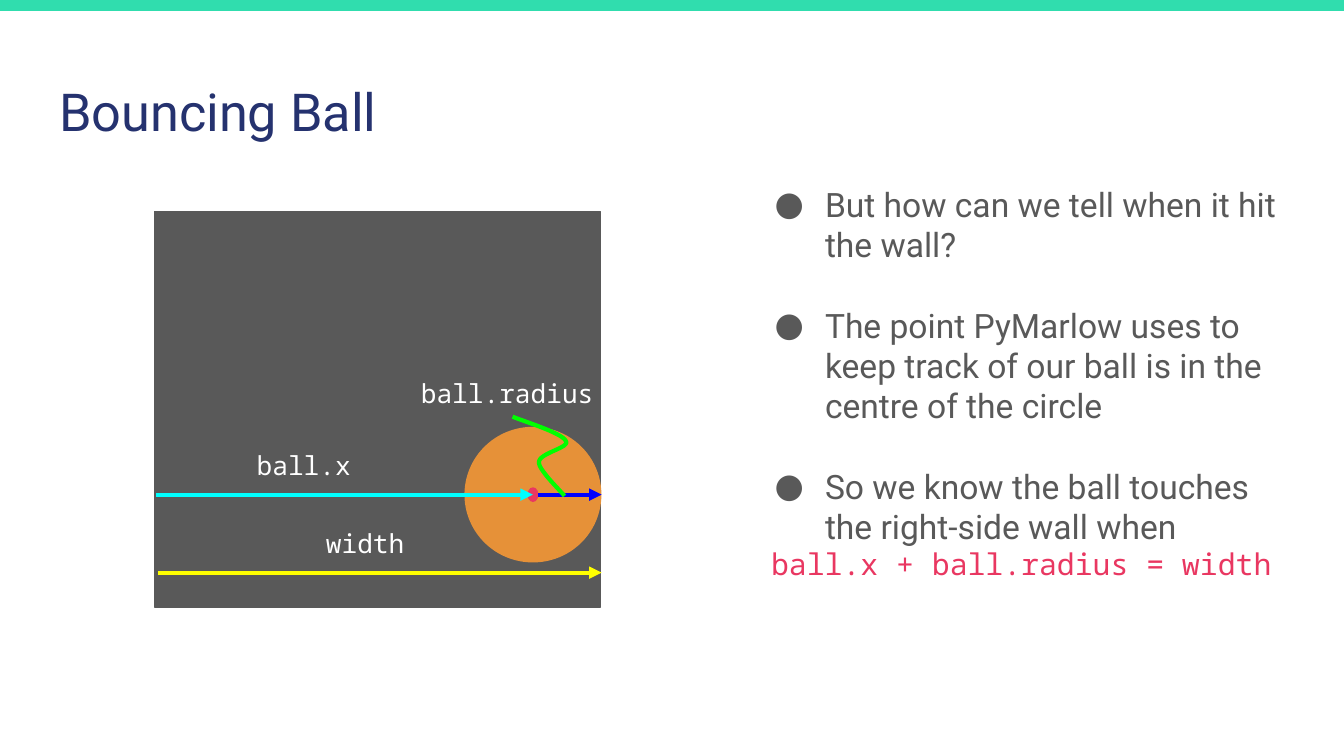
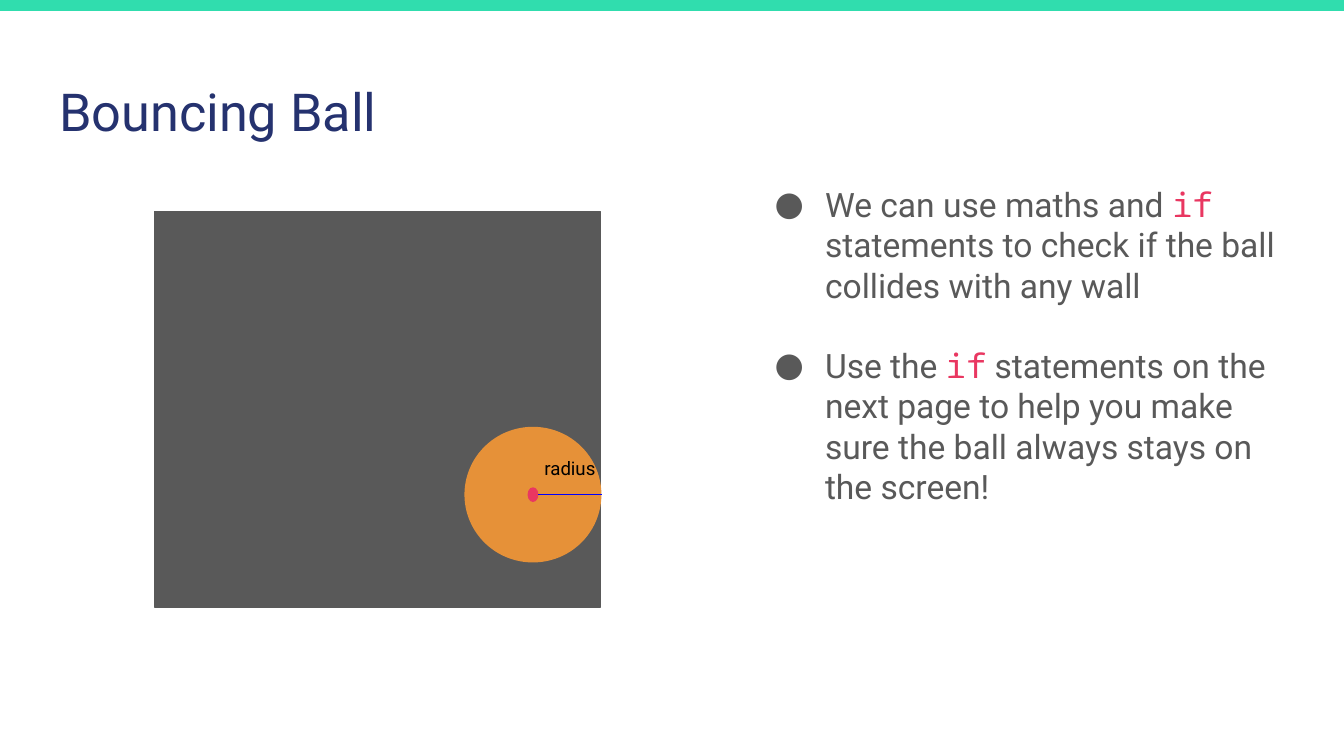
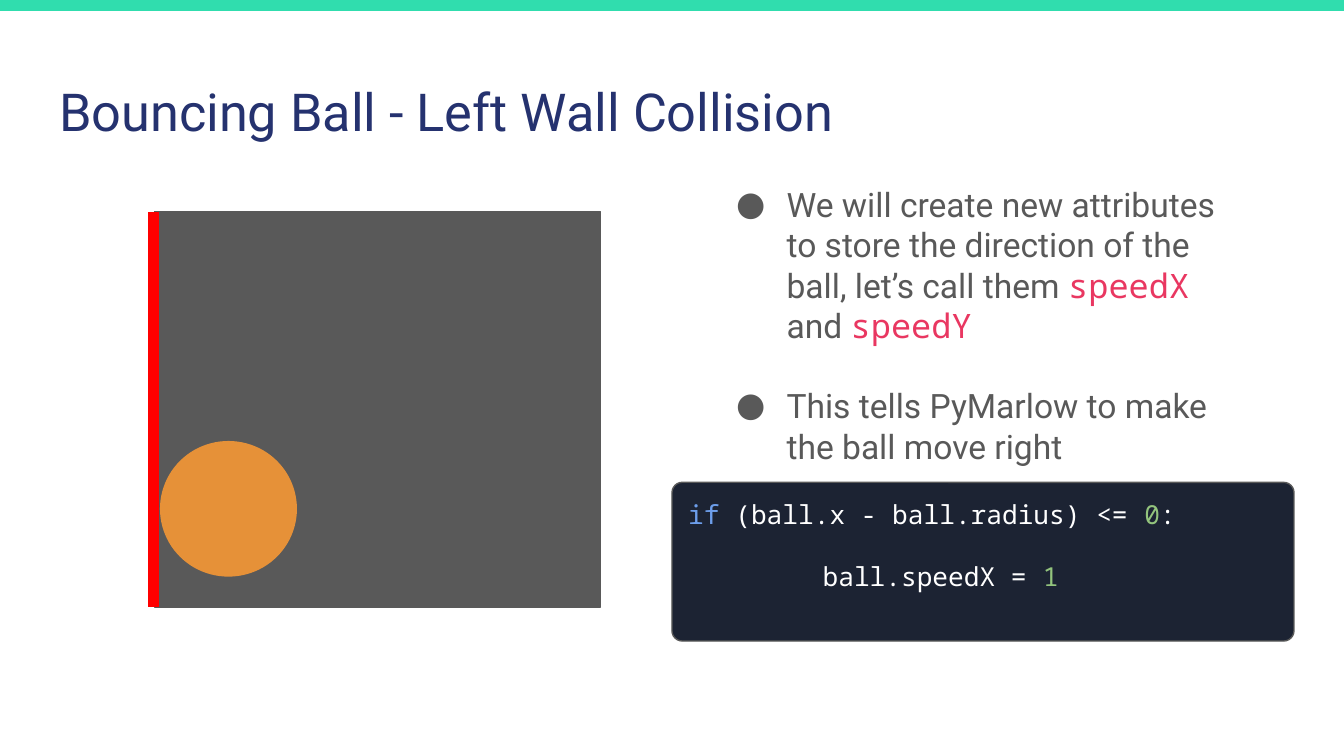
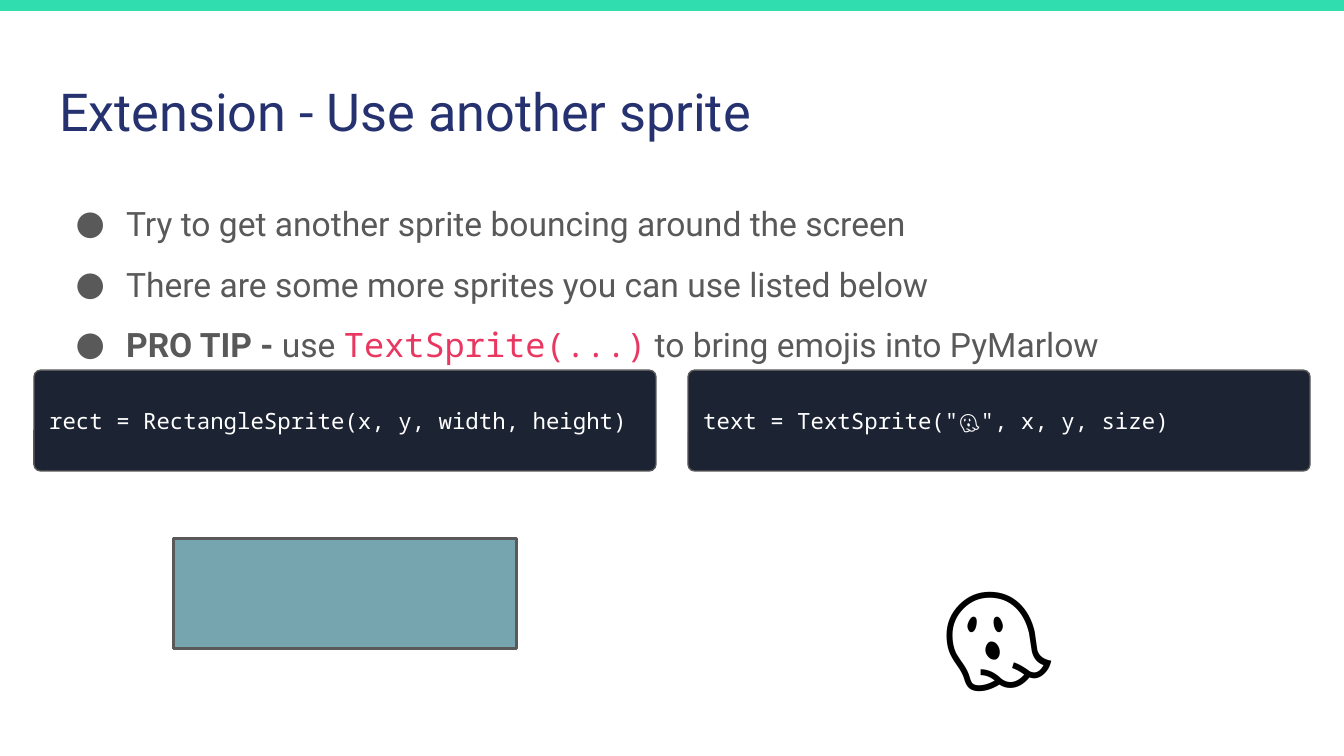
import lxml.etree
import pptx
import pptx.dml.color
import pptx.enum.shapes
import pptx.enum.text
import pptx.oxml.ns
import pptx.util

Pt = pptx.util.Pt
SHAPES = pptx.enum.shapes.MSO_SHAPE
ANCHOR = pptx.enum.text.MSO_ANCHOR
ALIGN = pptx.enum.text.PP_ALIGN

SLIDE_WIDTH, SLIDE_HEIGHT = 720, 405
TEXT_FONT, CODE_FONT = "Roboto", "Noto Sans Mono"
TEAL, NAVY, GRAY, PINK = "30DDAE", "25326F", "595959", "E93761"
ORANGE, DARK, WHITE, BLACK = "E69138", "1C2333", "FFFFFF", "000000"
BLUE, CYAN, YELLOW, GREEN, RED = "0000FF", "00FFFF", "FFFF00", "00FF00", "FF0000"
KEYWORD, NUMBER, SPRITE_FILL = "6D9EEB", "93C47D", "76A5AF"

INSET = 7.2
TITLE_BOX = (24.5, 35.3, 671, 45.4)
PANEL = (82.8, 113.5, 239, 211.7)
BALL_SIZE = (73.4, 72.7)
BALL_AT_RIGHT = (202.7, 151.5)
BALL_AT_LEFT = (39.6, 159.1)
LABEL_HEIGHT = 31.7
CODE_WIDTH = 333.2
BULLET_GAP = 21.4


def color(hex_string):
    return pptx.dml.color.RGBColor.from_string(hex_string)


def lengths(*values):
    return [Pt(value) for value in values]


def add_xml(parent, tag, **attributes):
    return lxml.etree.SubElement(parent, pptx.oxml.ns.qn(tag), attributes)


def set_font(font, name=None, size=None, hex_color=None, bold=None):
    if name:
        font.name = name
    if size:
        font.size = Pt(size)
    if hex_color:
        font.color.rgb = color(hex_color)
    if bold is not None:
        font.bold = bold


def code(text, hex_color=PINK):
    """Return a run of inline code: its text and the font settings it changes."""
    return text, {"name": CODE_FONT, "hex_color": hex_color}


def fill_paragraph(paragraph, runs, name, size, hex_color):
    """Write runs, each plain text or (text, font settings), over a common font."""
    set_font(paragraph.font, name, size, hex_color)
    for entry in runs:
        text, settings = (entry, {}) if isinstance(entry, str) else entry
        run = paragraph.add_run()
        run.text = text
        set_font(run.font, **settings)


def prepare_frame(shape, anchor=ANCHOR.TOP):
    frame = shape.text_frame
    frame.word_wrap = True
    frame.auto_size = pptx.enum.text.MSO_AUTO_SIZE.NONE
    frame.vertical_anchor = anchor
    frame.margin_left = frame.margin_right = Pt(INSET)
    frame.margin_top = frame.margin_bottom = Pt(INSET)
    return frame


def next_paragraph(frame, index):
    return frame.add_paragraph() if index else frame.paragraphs[0]


def add_block(slide, kind, box, fill, line=None, line_width=0.75):
    shape = slide.shapes.add_shape(kind, *lengths(*box))
    shape.shadow.inherit = False
    shape.fill.solid()
    shape.fill.fore_color.rgb = color(fill)
    if line:
        shape.line.color.rgb = color(line)
        shape.line.width = Pt(line_width)
    else:
        shape.line.fill.background()
    return shape


def add_line(slide, start, end, hex_color, width, arrow=False):
    connector = slide.shapes.add_connector(
        pptx.enum.shapes.MSO_CONNECTOR.STRAIGHT, *lengths(*start, *end))
    connector.line.color.rgb = color(hex_color)
    connector.line.width = Pt(width)
    properties = connector.element.spPr
    if arrow:
        add_xml(properties.find(pptx.oxml.ns.qn("a:ln")), "a:tailEnd", type="triangle")
    add_xml(properties, "a:effectLst")


def add_label(slide, box, text, name, size, hex_color):
    frame = prepare_frame(slide.shapes.add_textbox(*lengths(*box)))
    paragraph = frame.paragraphs[0]
    paragraph.alignment = ALIGN.CENTER
    fill_paragraph(paragraph, [text], name, size, hex_color)
    return paragraph


def add_bullets(slide, box, items, gap=0, line_spacing=None):
    frame = prepare_frame(slide.shapes.add_textbox(*lengths(*box)))
    for index, runs in enumerate(items):
        paragraph = next_paragraph(frame, index)
        if line_spacing:
            paragraph.line_spacing = line_spacing
        if gap and index < len(items) - 1:
            paragraph.space_after = Pt(gap)
        properties = paragraph._p.get_or_add_pPr()
        properties.set("marL", str(Pt(36)))
        properties.set("indent", str(Pt(-27)))
        bullet_color = add_xml(properties, "a:buClr")
        add_xml(bullet_color, "a:srgbClr", val=GRAY)
        add_xml(properties, "a:buFont", typeface=TEXT_FONT)
        add_xml(properties, "a:buChar", char="●")
        fill_paragraph(paragraph, runs, TEXT_FONT, 18, GRAY)
    return frame


def add_code_box(slide, box, size, lines, anchor=ANCHOR.TOP):
    """Add a dark box of code; each line is (runs, left indent, space before, after)."""
    shape = add_block(slide, SHAPES.ROUNDED_RECTANGLE, box, DARK, GRAY)
    shape.adjustments[0] = 0.065
    frame = prepare_frame(shape, anchor)
    for index, (runs, indent, before, after) in enumerate(lines):
        paragraph = next_paragraph(frame, index)
        paragraph.alignment = ALIGN.LEFT
        paragraph.space_before = Pt(before)
        paragraph.space_after = Pt(after)
        paragraph._p.get_or_add_pPr().set("marL", str(Pt(indent)))
        fill_paragraph(paragraph, runs, CODE_FONT, size, WHITE)


def add_titled_slide(presentation, title):
    slide = presentation.slides.add_slide(presentation.slide_layouts.get_by_name("Title Only"))
    add_block(slide, SHAPES.RECTANGLE, (-0.5, 0, SLIDE_WIDTH + 1, 5.8), TEAL)
    placeholder = slide.shapes.title
    placeholder.left, placeholder.top, placeholder.width, placeholder.height = lengths(*TITLE_BOX)
    paragraph = prepare_frame(placeholder).paragraphs[0]
    paragraph.alignment = ALIGN.LEFT
    fill_paragraph(paragraph, [title], TEXT_FONT, 28, NAVY)
    return slide


def centered_box(center, size):
    return (center[0] - size[0] / 2, center[1] - size[1] / 2, *size)


def place(panel, x, y):
    return panel[0] + x, panel[1] + y


def add_ball_panel(slide, panel, ball):
    add_block(slide, SHAPES.RECTANGLE, panel, GRAY, GRAY)
    add_block(slide, SHAPES.OVAL, centered_box(place(panel, *ball), BALL_SIZE), ORANGE)


def add_radius(slide, panel, width, arrow=False):
    """Mark the centre of the ball and draw its radius to the right wall."""
    x, y = BALL_AT_RIGHT
    add_block(slide, SHAPES.OVAL, centered_box(place(panel, x, y), (5.8, 7.9)), PINK)
    add_line(slide, place(panel, x + 2.9, y), place(panel, panel[2] + 0.5, y), BLUE, width, arrow)


def bezier_points(start, curves, steps=16):
    """Return points along a chain of cubic curves."""
    points = [start]
    for first, second, end in curves:
        for step in range(1, steps + 1):
            t = step / steps
            weights = ((1 - t) ** 3, 3 * t * (1 - t) ** 2, 3 * t * t * (1 - t), t ** 3)
            corners = (start, first, second, end)
            points.append(tuple(sum(weight * corner[axis] for weight, corner in zip(weights, corners))
                                for axis in (0, 1)))
        start = end
    return points


def add_squiggle(slide, panel):
    """Lead from the radius label to the radius arrow."""
    points = bezier_points((191.8, 109.7), [
        ((196.6, 111.9), (218.2, 118.3), (220.3, 122.7)),
        ((223.2, 126.3), (205.9, 129.1), (205.9, 134.2)),
        ((205.9, 138.5), (217.4, 149.3), (219.6, 152.2)),
    ])
    start, *rest = [lengths(*place(panel, x, y)) for x, y in points]
    builder = slide.shapes.build_freeform(*start)
    builder.add_line_segments(rest, close=False)
    squiggle = builder.convert_to_shape()
    squiggle.shadow.inherit = False
    squiggle.fill.background()
    squiggle.line.color.rgb = color(GREEN)
    squiggle.line.width = Pt(2.25)


def add_measurements(slide, panel):
    add_radius(slide, panel, 2.25, arrow=True)
    x, y = BALL_AT_RIGHT
    add_line(slide, place(panel, 0.7, y), place(panel, x, y), CYAN, 2.25, arrow=True)
    add_line(slide, place(panel, 2, 193.3), place(panel, panel[2] + 0.5, 193.3), YELLOW, 2.25, arrow=True)
    add_squiggle(slide, panel)
    for text, left, top, width in (("ball.radius", 132.5, 81.6, 113),
                                   ("ball.x", 47, 120.2, 66),
                                   ("width", 79.9, 161.8, 66)):
        add_label(slide, (*place(panel, left, top), width, LABEL_HEIGHT), text, CODE_FONT, 14, WHITE)


def build_wall_question(presentation):
    slide = add_titled_slide(presentation, "Bouncing Ball")
    add_ball_panel(slide, PANEL, BALL_AT_RIGHT)
    add_measurements(slide, PANEL)
    frame = add_bullets(slide, (398.9, 91.4, 296.6, 230.4), [
        ["But how can we tell when it hit the wall?"],
        ["The point PyMarlow uses to keep track of our ball is in the centre of the circle"],
        ["So we know the ball touches the right-side wall when"],
    ], BULLET_GAP)
    formula = frame.add_paragraph()
    formula.alignment = ALIGN.CENTER
    fill_paragraph(formula, ["ball.x + ball.radius = width"], CODE_FONT, 16, PINK)


def build_if_statements(presentation):
    slide = add_titled_slide(presentation, "Bouncing Ball")
    add_ball_panel(slide, PANEL, BALL_AT_RIGHT)
    add_radius(slide, PANEL, 0.75)
    add_label(slide, (*place(PANEL, 195.5, 124.3), 54, 26.6), "radius", TEXT_FONT, 10, BLACK)
    add_bullets(slide, (398.9, 91.4, 296.6, 211), [
        ["We can use maths and ", code("if"),
         " statements to check if the ball collides with any wall"],
        ["Use the ", code("if"),
         " statements on the next page to help you make sure the ball always stays on the screen!"],
    ], BULLET_GAP)


def build_left_wall(presentation):
    slide = add_titled_slide(presentation, "Bouncing Ball - Left Wall Collision")
    add_ball_panel(slide, PANEL, BALL_AT_LEFT)
    add_line(slide, place(PANEL, -0.5, 0), place(PANEL, -0.5, PANEL[3]), RED, 6)
    add_code_box(slide, (360, 258.4, CODE_WIDTH, 85), 14, [
        ([code("if", KEYWORD), " (ball.x - ball.radius) <= ", code("0", NUMBER), ":"], 0, 0, 0),
        (["ball.speedX = ", code("1", NUMBER)], 72, 16, 16),
    ])
    add_bullets(slide, (378.3, 91.4, 296.6, 189.4), [
        ["We will create new attributes to store the direction of the ball, let’s call them ",
         code("speedX"), " and ", code("speedY")],
        ["This tells PyMarlow to make the ball move right"],
    ], BULLET_GAP)


def build_extension(presentation):
    slide = add_titled_slide(presentation, "Extension - Use another sprite")
    add_bullets(slide, (24.5, 90.9, 622, 96.5), [
        ["Try to get another sprite bouncing around the screen"],
        ["There are some more sprites you can use listed below"],
        [("PRO TIP -", {"bold": True}), " use ", code("TextSprite(...)"),
         " to bring emojis into PyMarlow"],
    ], line_spacing=1.5)
    margin = 18.2
    samples = ((margin, "rect = RectangleSprite(x, y, width, height)"),
               (SLIDE_WIDTH - margin - CODE_WIDTH, 'text = TextSprite("👻", x, y, size)'))
    for left, sample in samples:
        add_code_box(slide, (left, 198.3, CODE_WIDTH, 54), 12, [([sample], 0, 0, 16)], ANCHOR.MIDDLE)
    add_block(slide, SHAPES.RECTANGLE, (92.9, 288.5, 183.8, 59), SPRITE_FILL, GRAY, 1.5)
    ghost = add_label(slide, (467.3, 275, 136, 150.5), "👻", TEXT_FONT, 112, BLACK)
    ghost.runs[0]._r.get_or_add_rPr().set("baseline", "30000")


def main():
    presentation = pptx.Presentation()
    presentation.slide_width, presentation.slide_height = lengths(SLIDE_WIDTH, SLIDE_HEIGHT)
    for build in (build_wall_question, build_if_statements, build_left_wall, build_extension):
        build(presentation)
    presentation.save("out.pptx")


if __name__ == "__main__":
    main()
